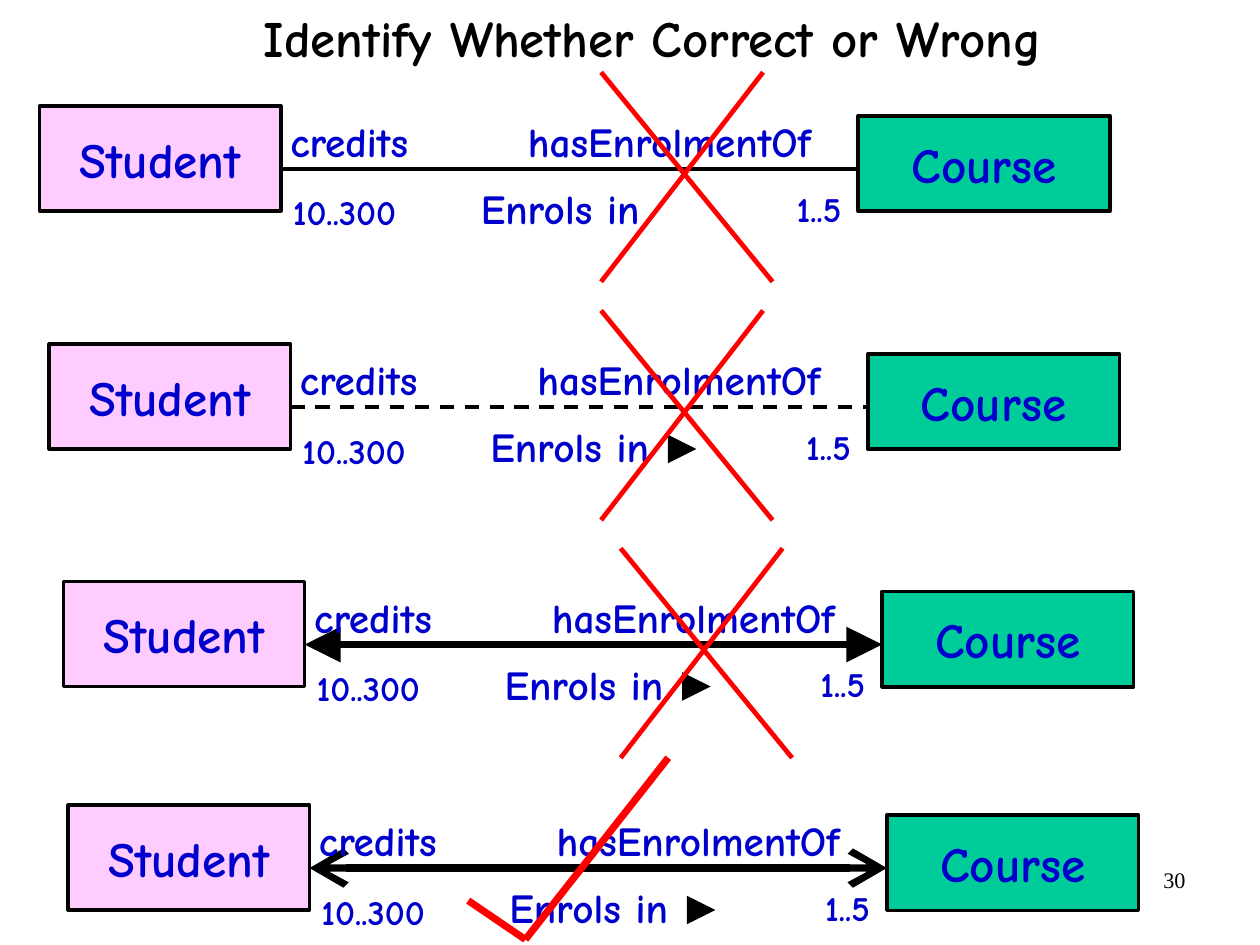
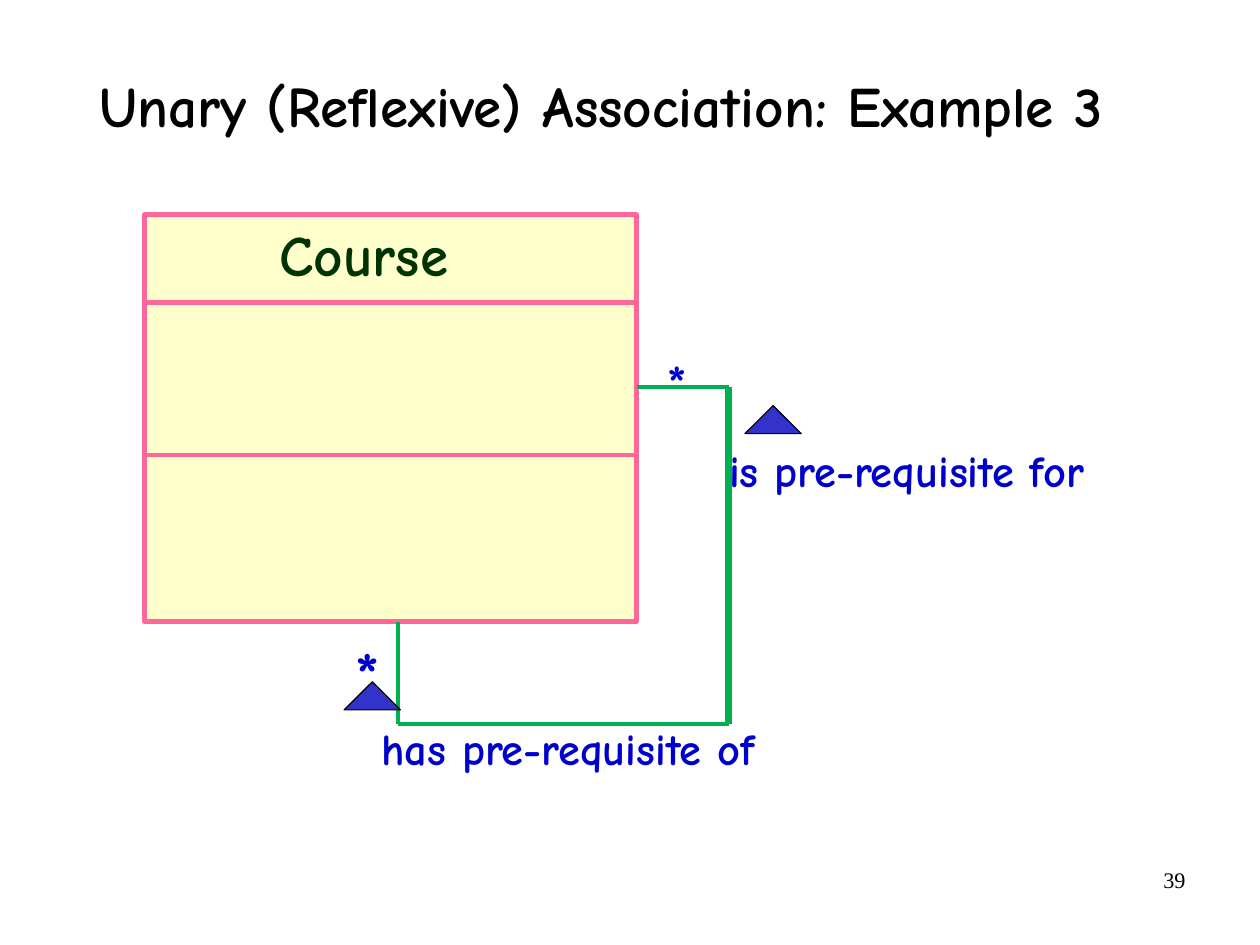
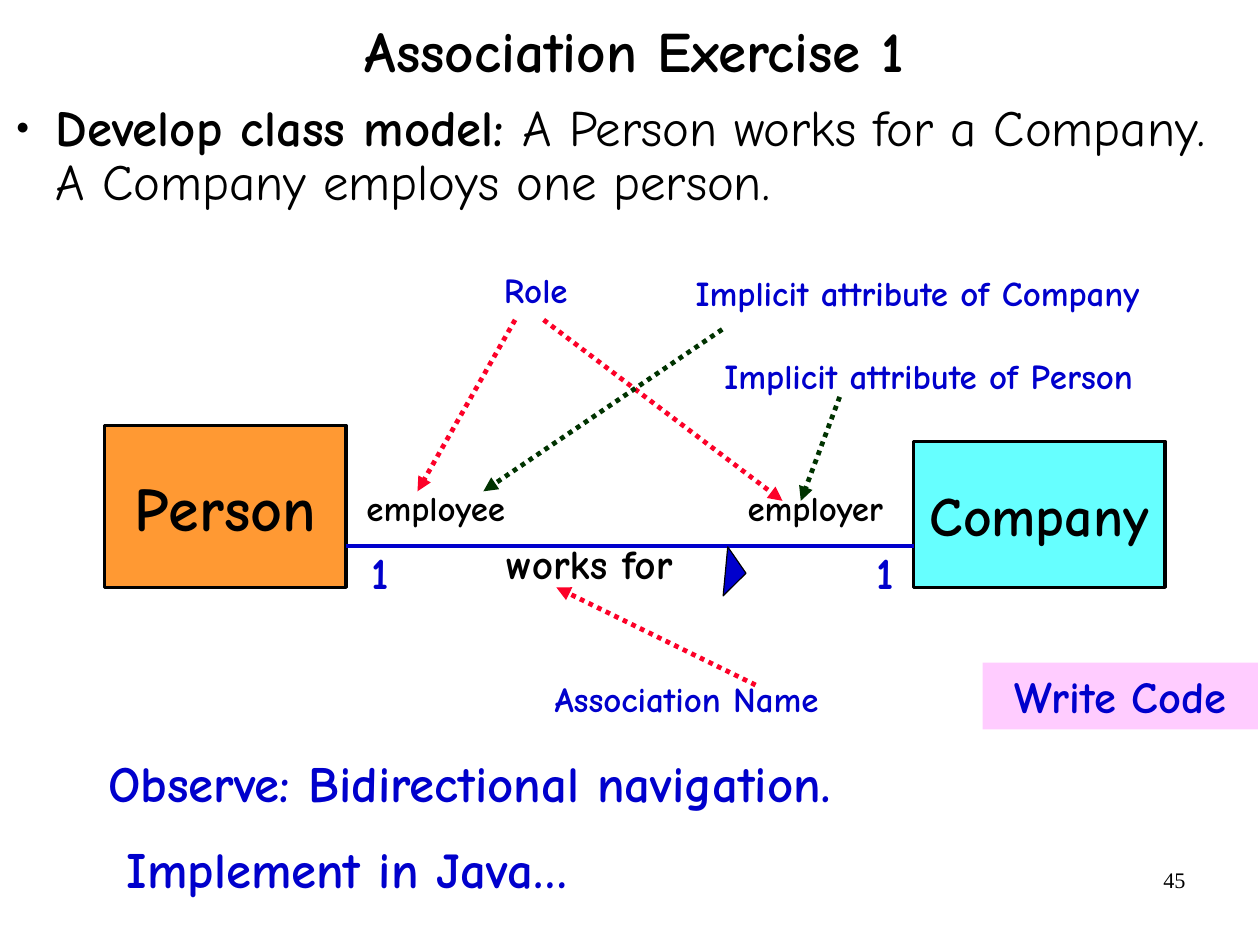
from pptx import Presentation
from pptx.dml.color import RGBColor
from pptx.enum.dml import MSO_LINE
from pptx.enum.shapes import MSO_CONNECTOR, MSO_SHAPE
from pptx.enum.text import MSO_ANCHOR, PP_ALIGN
from pptx.oxml.ns import qn
from pptx.util import Pt
from lxml import etree

LEFT, CENTER, RIGHT = PP_ALIGN.LEFT, PP_ALIGN.CENTER, PP_ALIGN.RIGHT
TOP, MIDDLE = MSO_ANCHOR.TOP, MSO_ANCHOR.MIDDLE
RECTANGLE, TRIANGLE = MSO_SHAPE.RECTANGLE, MSO_SHAPE.ISOSCELES_TRIANGLE
STRAIGHT = MSO_CONNECTOR.STRAIGHT
DASH, DOTTED = MSO_LINE.DASH, MSO_LINE.ROUND_DOT

BODY_FONT, NUMBER_FONT = "Comic Neue", "Times New Roman"
BLACK, WHITE, BLUE, RED = "000000", "FFFFFF", "0000CC", "FF0000"
PINK, GREEN, CYAN, ORANGE = "FFCCFF", "00CC99", "66FFFF", "FF9933"
CREAM, ROSE, LEAF, FOREST = "FFFFCC", "FF6699", "00B050", "003300"
INDIGO, CRIMSON = "3333CC", "FC0128"
NO_INSET, NARROW, WIDE = (0, 0), (7.2, 3.6), (7.9, 3.8)


def rgb(code):
    """Turn a hex string into a colour."""
    return RGBColor.from_string(code)


def apply(target, formats):
    """Set each attribute of the target from a dict."""
    for key, value in formats.items():
        setattr(target, key, value)


def shift(origin, left, top, *size):
    """Move a box or point given relative to an origin onto the slide."""
    return (origin[0] + left, origin[1] + top, *size)


def paint(shape, fill=None, outline=None, weight=2.25):
    """Give a shape its fill and outline."""
    if fill:
        shape.fill.solid()
        shape.fill.fore_color.rgb = rgb(fill)
    else:
        shape.fill.background()
    if outline:
        shape.line.color.rgb = rgb(outline)
        shape.line.width = Pt(weight)
    else:
        shape.line.fill.background()


def write(shape, text, size, color=BLUE, align=LEFT, anchor=TOP, inset=WIDE,
          spacing=1.0, wrap=True, bold=True, font=BODY_FONT):
    """Write one paragraph into a shape and return it."""
    frame = shape.text_frame
    side, edge = map(Pt, inset)
    apply(frame, {"word_wrap": wrap, "vertical_anchor": anchor,
                  "margin_left": side, "margin_right": side,
                  "margin_top": edge, "margin_bottom": edge})
    paragraph = frame.paragraphs[0]
    apply(paragraph, {"alignment": align, "line_spacing": spacing})
    add_run(paragraph, text, size, color, bold, font)
    return paragraph


def add_run(paragraph, text, size, color, bold, font=BODY_FONT):
    """Add a formatted run to a paragraph."""
    run = paragraph.add_run()
    run.text = text
    apply(run.font, {"name": font, "size": Pt(size), "bold": bold})
    run.font.color.rgb = rgb(color)


def add_label(slide, box, text, size, fill=None, outline=None, **style):
    """Add a text box and return its paragraph."""
    label = slide.shapes.add_textbox(*map(Pt, box))
    paint(label, fill, outline)
    return write(label, text, size, **style)


def add_shape(slide, kind, box, fill, outline=BLACK, weight=2.25):
    """Add a preset shape without shadow."""
    shape = slide.shapes.add_shape(kind, *map(Pt, box))
    shape.shadow.inherit = False
    paint(shape, fill, outline, weight)
    return shape


def add_class(slide, box, name, size, fill, color=BLUE):
    """Add a class rectangle with its centred name."""
    write(add_shape(slide, RECTANGLE, box, fill), name, size, color, CENTER,
          MIDDLE, wrap=False)


def add_line(slide, start, end, color, weight, dash=None, head=None, tail=None,
             tip="med"):
    """Draw a line with optional dashes and arrowheads."""
    line = slide.shapes.add_connector(STRAIGHT, *map(Pt, (*start, *end)))
    line.line.color.rgb = rgb(color)
    line.line.width = Pt(weight)
    if dash:
        line.line.dash_style = dash
    properties = line.element.spPr
    for tag, kind in (("a:headEnd", head), ("a:tailEnd", tail)):
        if kind:
            etree.SubElement(properties.find(qn("a:ln")), qn(tag), type=kind,
                             w=tip, len=tip)
    etree.SubElement(properties, qn("a:effectLst"))


def start_slide(deck, number, title, title_box, title_size=36):
    """Add a blank slide with its title and page number."""
    slide = deck.slides.add_slide(deck.slide_layouts[6])
    add_label(slide, (569, 542, 185, 41), number, 14, color=BLACK, align=RIGHT,
              inset=NARROW, bold=False, font=NUMBER_FONT)
    add_label(slide, title_box, title, title_size, color=BLACK, align=CENTER,
              anchor=MIDDLE, inset=NO_INSET, spacing=0.88)
    return slide


def add_enrolment(slide, origin, marker, **line_style):
    """Draw one Student to Course association."""
    add_class(slide, shift(origin, 0, 0, 152, 66), "Student", 31, PINK)
    add_class(slide, shift(origin, 515.7, 6.2, 158.5, 60), "Course", 31, GREEN)
    add_line(slide, shift(origin, 152, 39.6), shift(origin, 515.7, 39.6),
             BLACK, **line_style)
    if marker:
        add_line(slide, shift(origin, 403.7, 66), shift(origin, 407.7, 66),
                 BLACK, 6, tail="triangle")
    for box, text, size, align in (
            ((150, 2.7, 108, 40), "credits", 26, LEFT),
            ((138.5, 49.7, 107, 35), "10..300", 22, CENTER),
            ((460.5, 47.3, 61, 35), "1..5", 22, CENTER),
            ((299.7, 2.7, 222, 40), "hasEnrolmentOf", 26, LEFT),
            ((270, 44.8, 222, 40), "Enrols in", 26, LEFT)):
        add_label(slide, shift(origin, *box), text, size, align=align)


def add_cross(slide, origin):
    """Mark an association as wrong."""
    for start, end in (((0, 0), (108, 132)), ((102, 0), (0, 132))):
        add_line(slide, shift(origin, *start), shift(origin, *end), RED, 3)


def add_tick(slide, origin):
    """Mark an association as correct."""
    corner = shift(origin, 36, 129.5)
    add_line(slide, shift(origin, 0, 105), corner, RED, 4.5)
    add_line(slide, corner, shift(origin, 126, 15), RED, 4.5)


def build_identify(deck):
    """Build the slide that judges four associations."""
    slide = start_slide(deck, "30", "Identify Whether Correct or Wrong",
                        (72.7, -23, 677, 98.5), 32)
    add_enrolment(slide, (25, 66.8), False, weight=2.25)
    add_enrolment(slide, (31, 216.8), True, weight=2.25, dash=DASH)
    add_enrolment(slide, (40, 366.4), True, weight=4.5,
                  head="triangle", tail="triangle", tip="lg")
    add_enrolment(slide, (43, 507.2), True, weight=4.5,
                  head="arrow", tail="arrow", tip="lg")
    for origin in ((378.7, 45.5), (378.7, 195.6), (391, 345.4)):
        add_cross(slide, origin)
    add_tick(slide, (295, 462.3))


def add_reflexive_class(slide, box):
    """Draw the three-part Course class in its box."""
    left, top, width, height = box
    add_shape(slide, RECTANGLE, box, CREAM, ROSE, 3)
    for depth in (55.2, 151.3):
        add_line(slide, (left, top + depth), (left + width, top + depth), ROSE, 3)
    add_label(slide, shift(box, 78, 8, 130.5, 42.5), "Course", 36, fill=CREAM,
              color=FOREST, inset=NARROW, spacing=0.8)


def add_reflexive_loop(slide, box):
    """Draw the loop from the right side of the class to its bottom."""
    left, top, width, height = box
    corners = [shift(box, width, 108.5), shift(box, 368.2, 108.5),
               shift(box, 368.2, 320.8), shift(box, 159.7, 320.8),
               shift(box, 159.7, height)]
    for start, end, weight in zip(corners, corners[1:], (3, 4.5, 3, 3)):
        add_line(slide, start, end, LEAF, weight)
    for place, text, size in (
            ((322.5, 89.3, 32, 38), "*", 32),
            ((126, 270, 36, 45), "*", 40),
            ((361.3, 146.4, 280, 34), "is pre-requisite for", 28),
            ((142.3, 321.8, 291, 34), "has pre-requisite of", 28)):
        add_label(slide, shift(box, *place), text, size, inset=NARROW, spacing=0.8)
    for direction in ((378.3, 120.2), (125.8, 294.2)):
        add_shape(slide, TRIANGLE, shift(box, *direction, 35.5, 17.7), INDIGO,
                  weight=0.75)


def build_unary(deck):
    """Build the reflexive association slide."""
    slide = start_slide(deck, "39", "Unary (Reflexive) Association: Example 3",
                        (8.5, 19.5, 740, 98.5))
    course_box = (91, 135.3, 310, 256.3)
    add_reflexive_class(slide, course_box)
    add_reflexive_loop(slide, course_box)


def add_task(slide, box):
    """Write the bulleted task statement."""
    task = add_label(slide, box, "Develop class model: ", 32, color=BLACK,
                     inset=NO_INSET, spacing=0.88)
    task.space_after = Pt(13.8)
    properties = task._p.get_or_add_pPr()
    properties.set("marL", str(Pt(33)))
    properties.set("indent", str(Pt(-25)))
    bullet_color = etree.SubElement(properties, qn("a:buClr"))
    etree.SubElement(bullet_color, qn("a:srgbClr"), val=BLACK)
    etree.SubElement(properties, qn("a:buSzPct"), val="45000")
    etree.SubElement(properties, qn("a:buFont"), typeface=NUMBER_FONT)
    etree.SubElement(properties, qn("a:buChar"), char="●")
    add_run(task, "A Person works for a Company. A Company employs one person.",
            32, BLACK, False)


def add_employment(slide, origin):
    """Draw the annotated Person to Company association."""
    add_label(slide, shift(origin, 245, 170.5, 139, 42), "works for", 26,
              outline=WHITE, color=BLACK)
    add_class(slide, shift(origin, 0, 103, 152, 102), "Person", 39, ORANGE, BLACK)
    add_class(slide, shift(origin, 509.5, 113, 158.5, 92), "Company", 35, CYAN,
              BLACK)
    add_line(slide, shift(origin, 152, 179), shift(origin, 509.5, 179), BLUE, 3)
    add_label(slide, shift(origin, 157, 138, 113, 37), "employee", 22,
              outline=WHITE, color=BLACK)
    add_label(slide, shift(origin, 397, 138, 126, 37), "employer", 22, color=BLACK)
    direction = add_shape(slide, TRIANGLE, shift(origin, 382, 189, 31, 13), BLUE,
                          weight=0.75)
    direction.rotation = 95.3
    for box, text, size in (
            ((265, 258.3, 203, 35), "Association Name", 22),
            ((241.5, 0.5, 60, 35), "Role", 22),
            ((343, 2, 338, 35), "Implicit attribute of Company", 22),
            ((361, 54.5, 316, 35), "Implicit attribute of Person", 22),
            ((157, 174.8, 33, 42), "1", 28),
            ((475, 174.8, 33, 42), "1", 28)):
        add_label(slide, shift(origin, *box), text, size, align=CENTER)
    for start, end, color in (
            ((410, 266.5), (284.5, 205), CRIMSON),
            ((258.5, 36.5), (197, 144.5), CRIMSON),
            ((276.5, 36.5), (427, 150.5), CRIMSON),
            ((389, 42.5), (238.5, 144.5), FOREST),
            ((463, 85), (438.5, 150.5), FOREST)):
        add_line(slide, shift(origin, *start), shift(origin, *end), color, 3,
                 DOTTED, tail="triangle")


def build_exercise(deck):
    """Build the association exercise slide."""
    slide = start_slide(deck, "45", "Association Exercise 1",
                        (61, -3.6, 677, 75.6))
    add_task(slide, (2, 65.2, 779, 353.5))
    add_employment(slide, (66, 165))
    for box, text in (((61, 477.3, 678, 39), "Observe: Bidirectional navigation."),
                      ((72.7, 531.4, 678, 39), "Implement in Java…")):
        add_label(slide, box, text, 32, inset=NARROW, spacing=0.8)
    add_label(slide, (619, 417.5, 173.5, 42), "Write Code", 28, fill=PINK,
              align=CENTER)


def main():
    """Build and save the deck."""
    deck = Presentation()
    apply(deck, {"slide_width": Pt(793.75), "slide_height": Pt(595.25)})
    for build in (build_identify, build_unary, build_exercise):
        build(deck)
    deck.save("out.pptx")


if __name__ == "__main__":
    main()
